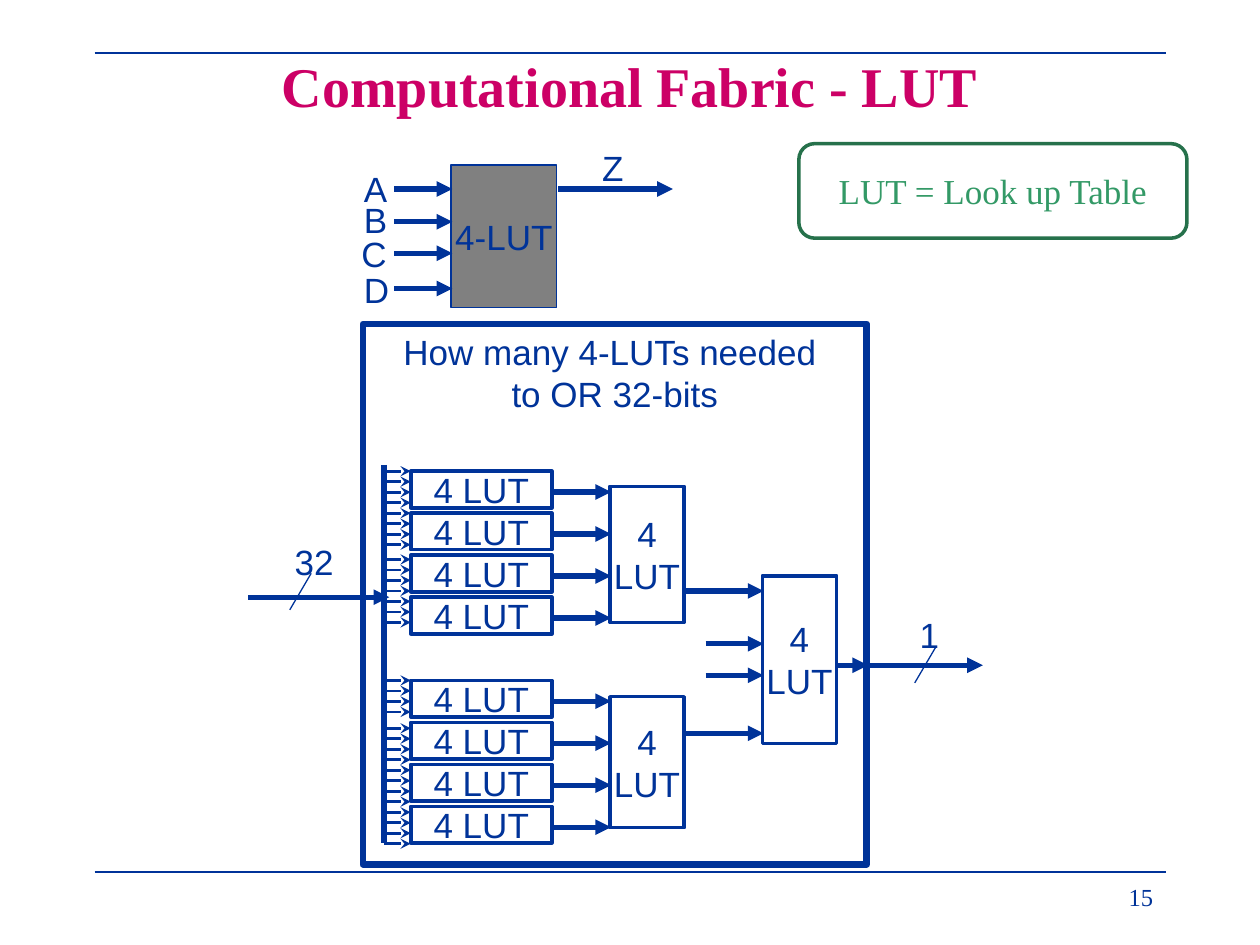
"""Build a slide on look-up tables as computational fabric."""

from typing import NamedTuple, Optional

from lxml.etree import SubElement as Sub
from pptx import Presentation as Deck
from pptx.dml.color import RGBColor as Color
from pptx.enum.shapes import MSO_CONNECTOR as Link, MSO_SHAPE as Kind
from pptx.enum.text import MSO_ANCHOR as Anchor, PP_ALIGN as Align
from pptx.oxml.ns import qn
from pptx.util import Inches, Pt

INK = {"blue": "003399", "pink": "CC0066", "gray": "808080", "edge": "26714B", "green": "339966"}
SANS, SERIF = "Arial", "Times New Roman"


class Box(NamedTuple):
    left: float
    top: float
    width: float
    height: float
    text: str
    line: float = 2
    fill: Optional[str] = None
    edge: str = "blue"
    ink: str = "blue"
    font: str = SANS
    kind: Kind = Kind.RECTANGLE
    anchor: Anchor = Anchor.MIDDLE
    wrap: bool = False


class Label(NamedTuple):
    left: float
    top: float
    width: float
    height: float
    text: str
    size: int = 20
    font: str = SANS
    align: Align = Align.LEFT
    wrap: bool = False


class Wire(NamedTuple):
    left: float
    top: float
    right: float
    end: float
    width: float = 3
    head: Optional[str] = "triangle"


def tint(name: str) -> Color:
    """Return the named colour."""
    return Color.from_string(INK[name])


def write(frame, text: str, size: int, font: str, ink: str, align: Align) -> None:
    """Fill a text frame, one paragraph to a line of text."""
    frame.text = text
    for para in frame.paragraphs:
        para.alignment = align
        para.font.size = Pt(size)
        para.font.name = font
        para.font.color.rgb = tint(ink)


def add_box(slide, box: Box) -> None:
    """Draw an outlined shape with centred text."""
    shape = slide.shapes.add_shape(box.kind, *map(Inches, box[:4]))
    shape.shadow.inherit = False
    if box.fill:
        shape.fill.solid()
        shape.fill.fore_color.rgb = tint(box.fill)
    else:
        shape.fill.background()
    shape.line.color.rgb = tint(box.edge)
    shape.line.width = Pt(box.line)
    frame = shape.text_frame
    frame.word_wrap = box.wrap
    frame.vertical_anchor = box.anchor
    write(frame, box.text, 20, box.font, box.ink, Align.CENTER)


def add_label(slide, label: Label) -> None:
    """Place a line of plain text."""
    frame = slide.shapes.add_textbox(*map(Inches, label[:4])).text_frame
    frame.word_wrap = label.wrap
    write(frame, label.text, label.size, label.font, "blue", label.align)


def add_wire(slide, wire: Wire) -> None:
    """Draw a straight line, with an arrowhead if one is named."""
    link = slide.shapes.add_connector(Link.STRAIGHT, *map(Inches, wire[:4]))
    link.line.color.rgb = tint("blue")
    link.line.width = Pt(wire.width)
    if wire.head:
        Sub(link.line._get_or_add_ln(), qn("a:tailEnd"), type=wire.head)
    Sub(link._element.spPr, qn("a:effectLst"))


def flat(left: float, right: float, top: float) -> Wire:
    """Return a level arrow."""
    return Wire(left, top, right, top)


def add_title(slide) -> None:
    """Set the title and the rules of the page."""
    title = slide.shapes.title
    title.left, title.top, title.width, title.height = map(Inches, (0.75, 0.05, 8.5, 1.25))
    frame = title.text_frame
    frame.margin_left = frame.margin_right = Inches(0.3)
    frame.vertical_anchor = Anchor.MIDDLE
    write(frame, "Computational Fabric - LUT", 32, SERIF, "pink", Align.CENTER)
    frame.paragraphs[0].font.bold = True
    for top in (0.42, 6.92):
        add_wire(slide, Wire(0.75, top, 9.25, top, 0.75, None))
    add_label(slide, Label(7.17, 6.95, 2.08, 0.39, "15", 14, SERIF, Align.RIGHT, True))


def add_single(slide) -> None:
    """Draw the lone table with its inputs, output and key."""
    add_box(slide, Box(3.58, 1.31, 0.84, 1.13, "4-LUT", 0.75, "gray"))
    add_box(slide, Box(6.34, 1.14, 3.08, 0.75, "LUT = Look up Table", 2, None, "edge",
                       "green", SERIF, Kind.ROUNDED_RECTANGLE, wrap=True))
    pins = (("A", 2.79, 1.28, 1.5), ("B", 2.79, 1.53, 1.76),
            ("C", 2.77, 1.8, 2.01), ("D", 2.79, 2.08, 2.29))
    for name, left, top, mid in pins:
        add_label(slide, Label(left, top, 0.4, 0.43, name))
        add_wire(slide, flat(3.13, 3.59, mid))
    add_label(slide, Label(4.68, 1.11, 0.37, 0.43, "Z"))
    add_wire(slide, flat(4.43, 5.34, 1.5))


def add_tree(slide) -> None:
    """Draw the tree of tables that joins 32 bits into one."""
    add_box(slide, Box(2.88, 2.57, 4, 4.29, "How many 4-LUTs needed \nto OR 32-bits",
                       3.75, anchor=Anchor.TOP))
    for left, top, height in ((4.84, 3.86, 1.08), (4.84, 5.53, 1.04), (6.05, 4.57, 1.33)):
        add_box(slide, Box(left, top, 0.59, height, "4\nLUT"))
    for first in (3.74, 5.4):
        for row in range(4):
            top = first + row / 3
            add_box(slide, Box(3.26, top, 1.12, 0.29, "4 LUT"))
            add_wire(slide, flat(4.39, 4.85, top + 0.165))
    for left, top in ((5.43, 4.69), (5.6, 5.11), (5.6, 5.36), (5.43, 5.82)):
        add_wire(slide, flat(left, 6.06, top))

    add_wire(slide, Wire(3.05, 3.69, 3.05, 6.69, 3.5, None))
    for first, count in ((3.74, 8), (4.44, 7), (5.4, 4), (5.78, 12)):
        for step in range(count):
            top = first + step / 12
            add_wire(slide, Wire(3.05, top, 3.26, top, 1.5, "stealth"))

    for left, right, top in ((1.97, 3.09, 4.74), (6.64, 6.89, 5.28), (6.88, 7.8, 5.28)):
        add_wire(slide, flat(left, right, top))
    for left, top in ((2.47, 4.55), (7.43, 5.13)):
        add_wire(slide, Wire(left, top, left - 0.17, top + 0.29, 0.75, None))
    add_label(slide, Label(2.24, 4.24, 0.51, 0.44, "32"))
    add_label(slide, Label(7.2, 4.82, 0.36, 0.44, "1"))


def main() -> None:
    """Build and save the deck."""
    deck = Deck()
    deck.slide_width, deck.slide_height = Inches(10), Inches(7.5)
    slide = deck.slides.add_slide(deck.slide_layouts[5])
    add_title(slide)
    add_single(slide)
    add_tree(slide)
    deck.save("out.pptx")


if __name__ == "__main__":
    main()
